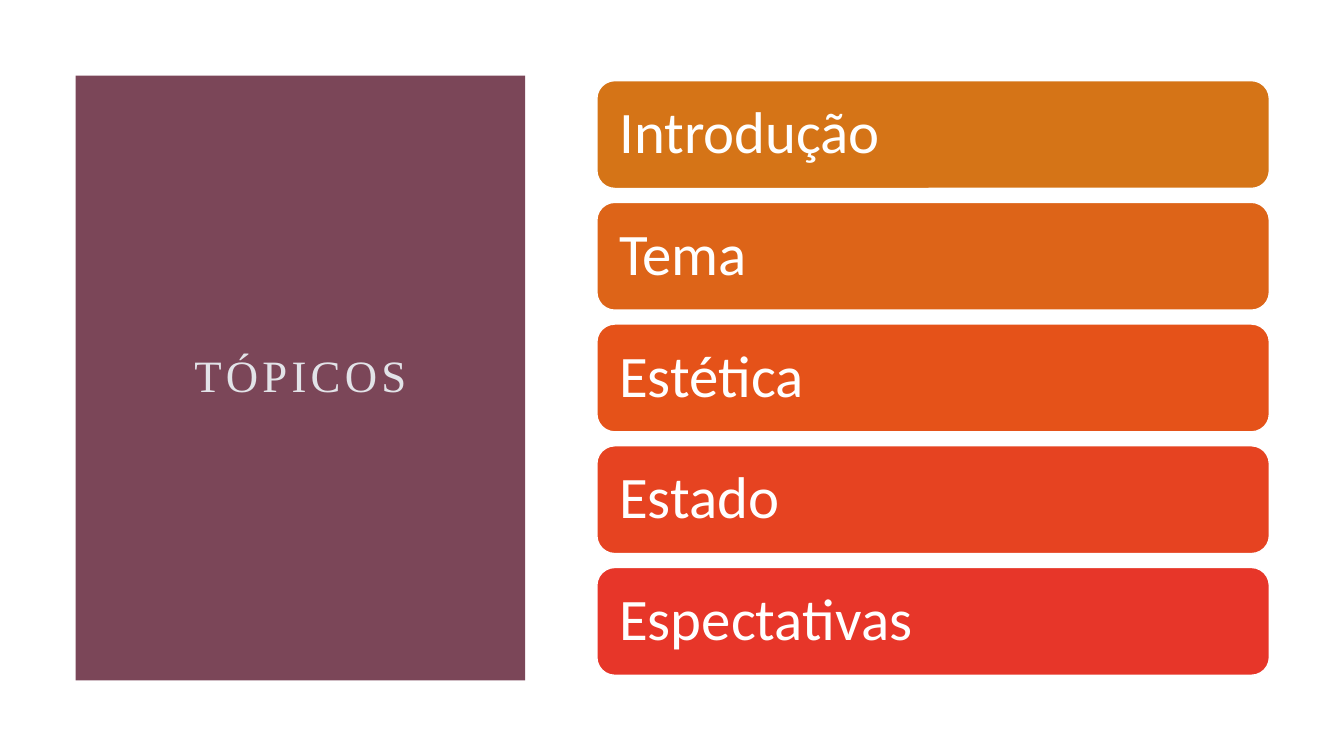
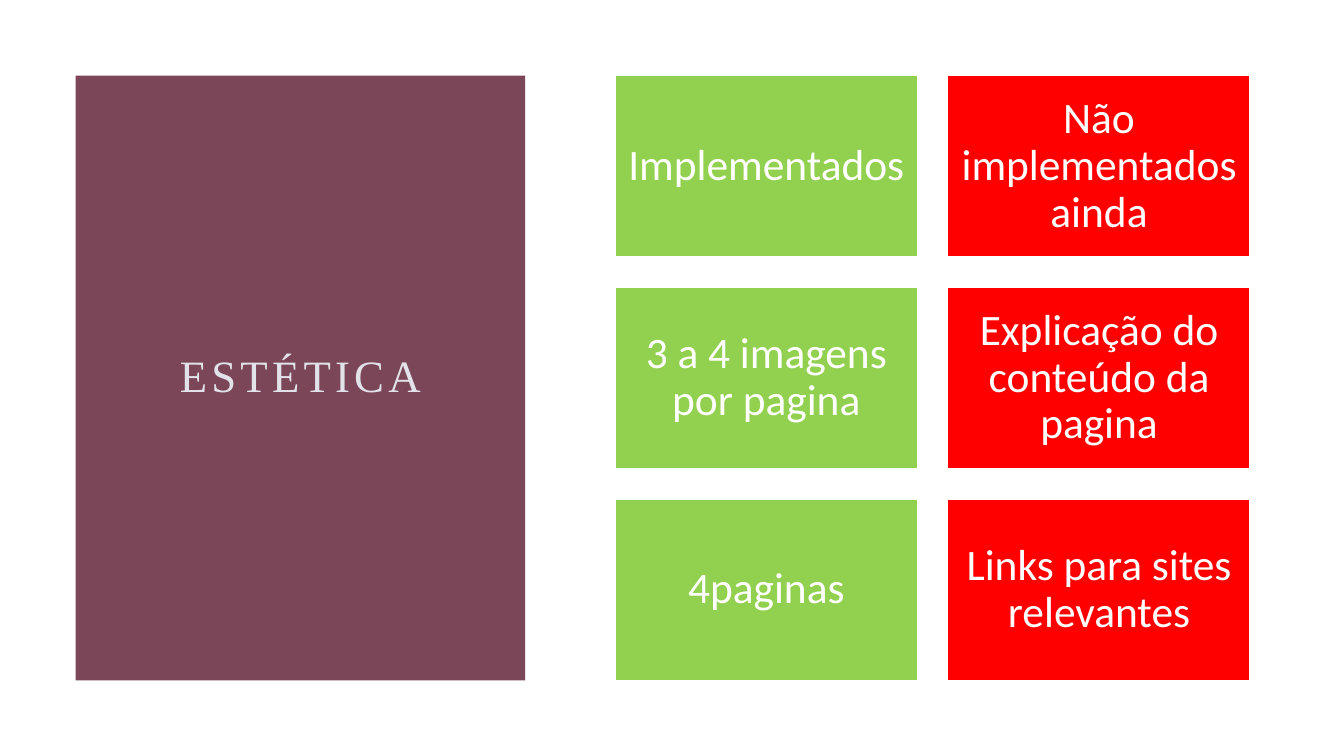
from pptx import Presentation
from pptx.dml.color import RGBColor
from pptx.enum import shapes, text
from pptx.util import Inches, Pt

WHITE = RGBColor(0xFF, 0xFF, 0xFF)
PLUM = RGBColor(0x7B, 0x46, 0x58)
PALE = RGBColor(0xE2, 0xE3, 0xE8)
GREEN = RGBColor(0x92, 0xD0, 0x50)
RED = RGBColor(0xFF, 0x00, 0x00)

TOPICS = [
    ("Introdução", RGBColor(0xD5, 0x74, 0x17)),
    ("Tema", RGBColor(0xDD, 0x64, 0x18)),
    ("Estética", RGBColor(0xE5, 0x52, 0x19)),
    ("Estado", RGBColor(0xE6, 0x43, 0x21)),
    ("Espectativas", RGBColor(0xE7, 0x36, 0x29)),
]
AESTHETICS = [
    ("Implementados", "Não implementados ainda"),
    ("3 a 4 imagens por pagina", "Explicação do conteúdo da pagina"),
    ("4paginas", "Links para sites relevantes"),
]


class Deck:
    """Holds the presentation, its style and the slide being filled."""

    TITLE_FONT, TITLE_SIZE = "Times New Roman", 32
    BODY_FONT = "Calibri"
    RECT = shapes.MSO_SHAPE.RECTANGLE
    ROUNDED = shapes.MSO_SHAPE.ROUNDED_RECTANGLE
    LEFT, CENTER = text.PP_ALIGN.LEFT, text.PP_ALIGN.CENTER

    def __init__(self):
        self.prs = Presentation()
        self.prs.slide_width = Inches(13.33)
        self.prs.slide_height = Inches(7.5)
        self.s = None

    def add_slide(self, title):
        """Start a slide with its title on the plum panel at the left."""
        self.s = self.prs.slides.add_slide(self.prs.slide_layouts[5])
        panel = self.shape(self.RECT, 0.75, 0.75, 4.46, 6, PLUM)
        sp = self.s.shapes.title
        sp.left, sp.top = Inches(1.5), Inches(1.5)
        sp.width, sp.height = Inches(2.96), Inches(4.5)
        sp.element.addprevious(panel.element)  # panel goes behind the title
        r = self.label(sp, title, self.TITLE_FONT, self.TITLE_SIZE, PALE, self.CENTER)
        r.font._element.set("spc", "300")

    def shape(self, kind, x, y, w, h, fill):
        sp = self.s.shapes.add_shape(kind, Inches(x), Inches(y), Inches(w), Inches(h))
        sp.shadow.inherit = False
        sp.fill.solid()
        sp.fill.fore_color.rgb = fill
        sp.line.fill.background()
        return sp

    def label(self, sp, words, font, size, color, align, inset=0.1):
        """Put one styled run into a shape and return the run."""
        tf = sp.text_frame
        tf.word_wrap = True
        tf.auto_size = text.MSO_AUTO_SIZE.NONE
        tf.vertical_anchor = text.MSO_ANCHOR.MIDDLE
        tf.margin_left = tf.margin_right = Inches(inset)
        tf.margin_top = tf.margin_bottom = Inches(inset)
        p = tf.paragraphs[0]
        p.alignment = align
        p.line_spacing = 0.9
        r = p.add_run()
        r.text = words
        r.font.name = font
        r.font.size = Pt(size)
        r.font.color.rgb = color
        return r

    def box(self, kind, x, y, w, h, fill, words, size, align, inset):
        """Add a filled box with a thin white outline and white text."""
        sp = self.shape(kind, x, y, w, h, fill)
        sp.line.color.rgb = WHITE
        sp.line.width = Pt(1)
        self.label(sp, words, self.BODY_FONT, size, WHITE, align, inset)

    def bars(self, items, x, top, bottom, w, h):
        """Stack rounded bars evenly between top and bottom."""
        pitch = (bottom - top - h) / (len(items) - 1)
        for i, (words, fill) in enumerate(items):
            self.box(self.ROUNDED, x, top + i * pitch, w, h, fill,
                     words, 42, self.LEFT, 0.17)

    def grid(self, rows, fills, x, y, w, h, gap):
        """Lay out rows of boxes, one fill colour per column."""
        for i, row in enumerate(rows):
            for j, (words, fill) in enumerate(zip(row, fills)):
                self.box(self.RECT, x + j * (w + gap), y + i * (h + gap), w, h,
                         fill, words, 31, self.CENTER, 0.13)


def main():
    deck = Deck()
    deck.add_slide("TÓPICOS")
    deck.bars(TOPICS, x=5.92, top=0.8, bottom=6.7, w=6.67, h=1.07)
    deck.add_slide("ESTÉTICA")
    deck.grid(AESTHETICS, (GREEN, RED), x=6.1, y=0.75, w=3, h=1.8, gap=0.3)
    deck.prs.save("out.pptx")


if __name__ == "__main__":
    main()
